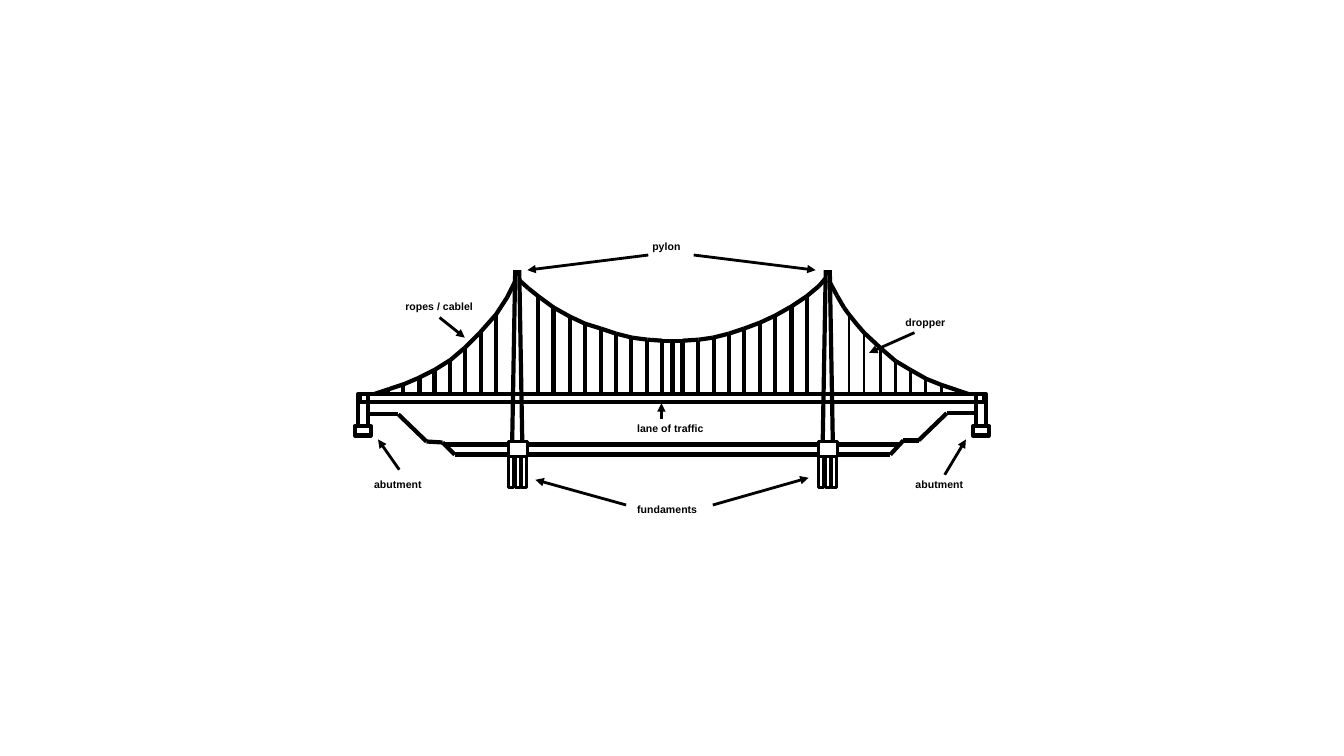
import itertools
from dataclasses import dataclass

import pptx
import pptx.dml.color
import pptx.enum.shapes
import pptx.oxml.ns
import pptx.shapes.connector
import pptx.shapes.group
import pptx.util
from lxml import etree

Inches = pptx.util.Inches
Point = tuple[float, float]
COLOURS = {"ink": "000000"}
INK = pptx.dml.color.RGBColor.from_string(COLOURS["ink"])
FONT = "Arial"
THICK, THIN = 3, 2
DECK_TOP = 3.91


@dataclass
class Block:
    left: float
    top: float
    width: float
    height: float
    weight: float = THICK


@dataclass
class Hangers:
    """Evenly spaced droppers between two x positions."""
    first: float
    last: float
    count: int
    weight: float = THICK


@dataclass
class Cable:
    points: list[Point]
    hangers: list[Hangers]


@dataclass
class Label:
    text: str
    left: float
    top: float
    width: float
    arrows: list[tuple[Point, Point]]


BLOCKS = [
    Block(3.55, DECK_TOP, 0.1, 0.32), Block(3.52, 4.23, 0.16, 0.09),
    Block(9.68, DECK_TOP, 0.1, 0.32), Block(9.65, 4.23, 0.16, 0.09),
    Block(3.57, DECK_TOP, 6.19, 0.08),
]
PIER_LEFTS = [5.04, 8.12]
PILE_OFFSETS = [0, 0.07, 0.13]
PYLON_LINES = [
    [(0.04, 4.38), (0.07, 2.68)],
    [(0.14, 4.38), (0.11, 2.68)],
    [(0.08, 2.7), (0.1, 2.7)],
]
BANKS = [
    [(3.65, 4.11), (3.95, 4.11), (4.23, 4.38), (4.39, 4.39), (4.51, 4.51)],
    [(8.83, 4.51), (8.96, 4.37), (9.11, 4.37), (9.39, 4.1), (9.68, 4.1)],
]
WATER_LINES = [
    [(4.51, 4.51), (5.04, 4.51)], [(5.23, 4.51), (8.12, 4.51)],
    [(8.3, 4.51), (8.83, 4.51)],
    [(4.41, 4.41), (5.03, 4.41)], [(5.23, 4.41), (8.11, 4.41)],
    [(8.3, 4.41), (8.92, 4.41)],
]
CABLES = [
    Cable(
        [(3.71, 3.91), (3.86, 3.86), (4.01, 3.81), (4.15, 3.75), (4.31, 3.67),
         (4.47, 3.57), (4.61, 3.45), (4.76, 3.3), (4.92, 3.12), (5.03, 2.95),
         (5.11, 2.79)],
        [Hangers(3.85, 4.92, 8)],
    ),
    Cable(
        [(5.15, 2.78), (5.24, 2.86), (5.34, 2.94), (5.49, 3.05), (5.65, 3.14),
         (5.8, 3.21), (5.96, 3.26), (6.11, 3.31), (6.27, 3.35), (6.42, 3.37),
         (6.57, 3.38), (6.67, 3.38), (6.77, 3.38), (6.93, 3.37), (7.07, 3.35),
         (7.23, 3.31), (7.38, 3.26), (7.54, 3.2), (7.69, 3.13), (7.85, 3.04),
         (8, 2.94), (8.12, 2.84), (8.19, 2.76)],
        [Hangers(5.34, 6.57, 9), Hangers(6.67, 6.67, 1), Hangers(6.77, 8, 9)],
    ),
    Cable(
        [(8.22, 2.78), (8.3, 2.93), (8.37, 3.05), (8.42, 3.12), (8.5, 3.22),
         (8.57, 3.3), (8.73, 3.45), (8.88, 3.58), (9.03, 3.67), (9.19, 3.76),
         (9.34, 3.82), (9.61, 3.91)],
        [Hangers(8.42, 9.49, 8, THIN)],
    ),
]
LABELS = [
    Label("fundaments", 6.26, 4.96, 0.73,
          [((6.21, 5.01), (5.31, 4.76)), ((7.07, 5.01), (8.02, 4.74))]),
    Label("abutment", 3.65, 4.71, 0.61, [((3.96, 4.66), (3.75, 4.36))]),
    Label("abutment", 9.02, 4.71, 0.61, [((9.37, 4.71), (9.58, 4.36))]),
    Label("pylon", 6.41, 2.35, 0.41,
          [((6.43, 2.53), (5.23, 2.68)), ((6.88, 2.53), (8.09, 2.68))]),
    Label("lane of traffic", 6.26, 4.16, 0.8, [((6.56, 4.16), (6.56, 4))]),
    Label("ropes / cablel", 3.96, 2.95, 0.81, [((4.36, 3.15), (4.61, 3.35))]),
    Label("dropper", 8.92, 3.1, 0.53, [((9.07, 3.3), (8.62, 3.5))]),
]


def draw_line(bridge: pptx.shapes.group.GroupShape, start: Point, end: Point,
              weight: float = THICK) -> pptx.shapes.connector.Connector:
    line = bridge.shapes.add_connector(
        pptx.enum.shapes.MSO_CONNECTOR.STRAIGHT,
        *(Inches(value) for value in (*start, *end)))
    line.line.color.rgb = INK
    line.line.width = pptx.util.Pt(weight)
    etree.SubElement(line._element.spPr, pptx.oxml.ns.qn("a:effectLst"))
    return line


def draw_chain(bridge: pptx.shapes.group.GroupShape, points: list[Point]) -> None:
    """Join consecutive points with straight lines."""
    for start, end in itertools.pairwise(points):
        draw_line(bridge, start, end)


def draw_arrow(bridge: pptx.shapes.group.GroupShape, start: Point, end: Point) -> None:
    arrow = draw_line(bridge, start, end, THIN)
    head = etree.SubElement(arrow.line._get_or_add_ln(), pptx.oxml.ns.qn("a:tailEnd"))
    head.set("type", "triangle")


def draw_block(bridge: pptx.shapes.group.GroupShape, block: Block) -> None:
    box = bridge.shapes.add_shape(
        pptx.enum.shapes.MSO_SHAPE.RECTANGLE, Inches(block.left), Inches(block.top),
        Inches(block.width), Inches(block.height))
    box.shadow.inherit = False
    box.fill.background()
    box.line.color.rgb = INK
    box.line.width = pptx.util.Pt(block.weight)


def draw_pier(bridge: pptx.shapes.group.GroupShape, left: float) -> None:
    """Draw a foundation cap, its piles and the pylon above."""
    draw_block(bridge, Block(left, 4.38, 0.19, 0.15, THIN))
    for offset in PILE_OFFSETS:
        draw_block(bridge, Block(left + offset, 4.53, 0.05, 0.31, THIN))
    for points in PYLON_LINES:
        draw_chain(bridge, [(left + x, y) for x, y in points])


def cable_height(points: list[Point], x: float) -> float:
    """Interpolate the cable's y position at x."""
    for (x1, y1), (x2, y2) in itertools.pairwise(points):
        if x1 <= x <= x2:
            return y1 + (y2 - y1) * (x - x1) / (x2 - x1)
    raise ValueError("x lies outside the cable")


def draw_cable(bridge: pptx.shapes.group.GroupShape, cable: Cable) -> None:
    for row in cable.hangers:
        step = (row.last - row.first) / max(row.count - 1, 1)
        for index in range(row.count):
            x = round(row.first + index * step, 2)
            top = cable_height(cable.points, x)
            draw_line(bridge, (x, top), (x, DECK_TOP), row.weight)
    draw_chain(bridge, cable.points)


def draw_label(bridge: pptx.shapes.group.GroupShape, label: Label) -> None:
    box = bridge.shapes.add_textbox(
        Inches(label.left), Inches(label.top), Inches(label.width), Inches(0.19))
    frame = box.text_frame
    frame.word_wrap = False
    frame.margin_left = frame.margin_right = Inches(0.06)
    frame.margin_top = frame.margin_bottom = Inches(0.03)
    span = frame.paragraphs[0].add_run()
    span.text = label.text
    span.font.name = FONT
    span.font.size = pptx.util.Pt(7.5)
    span.font.bold = True
    span.font.color.rgb = INK
    for start, end in label.arrows:
        draw_arrow(bridge, start, end)


def main() -> None:
    deck = pptx.Presentation()
    deck.slide_width, deck.slide_height = Inches(13.33), Inches(7.5)
    page = deck.slides.add_slide(deck.slide_layouts[6])
    bridge = page.shapes.add_group_shape()
    for block in BLOCKS:
        draw_block(bridge, block)
    for points in BANKS + WATER_LINES:
        draw_chain(bridge, points)
    for left in PIER_LEFTS:
        draw_pier(bridge, left)
    for cable in CABLES:
        draw_cable(bridge, cable)
    for label in LABELS:
        draw_label(bridge, label)
    deck.save("out.pptx")


if __name__ == "__main__":
    main()
